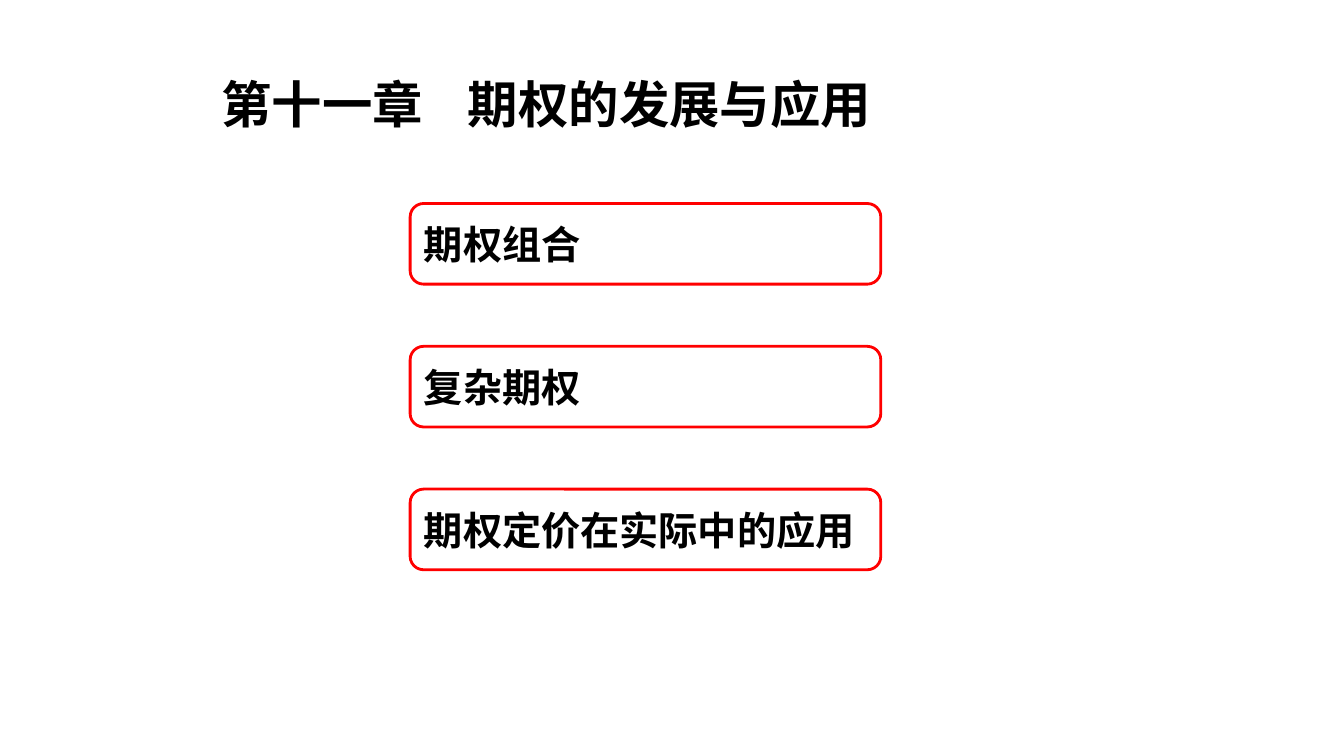
from pptx import Presentation
from pptx.dml.color import RGBColor
from pptx.enum.shapes import MSO_SHAPE as Preset
from pptx.enum.text import MSO_ANCHOR as Anchor, MSO_AUTO_SIZE as AutoSize, PP_ALIGN as Align
from pptx.oxml.ns import qn
from pptx.oxml.xmlchemy import OxmlElement
from pptx.util import Pt


def color(hex_string):
    return RGBColor.from_string(hex_string)


class ChapterSlide:
    """Style and current slide, with one method per kind of element."""

    INK = "000000"
    BORDER = "FF0000"
    TITLE_FONT = "Arial"
    CJK_FONT = "Noto Sans CJK SC"

    def __init__(self, slide):
        self.slide = slide

    def add_run(self, paragraph, text, size, font):
        run = paragraph.add_run()
        run.text = text
        run.font.name = font
        run.font.size = Pt(size)
        run.font.bold = True
        run.font.color.rgb = color(self.INK)
        east_asian = OxmlElement("a:ea")
        east_asian.set("typeface", self.CJK_FONT)
        run.font._element.find(qn("a:latin")).addnext(east_asian)

    def title(self, text, left, top, width, height, tab_at):
        frame = self.slide.shapes.add_textbox(
            Pt(left), Pt(top), Pt(width), Pt(height)).text_frame
        frame.word_wrap = True
        frame.auto_size = AutoSize.SHAPE_TO_FIT_TEXT
        heading = frame.paragraphs[0]
        # The tab stop sets the gap between chapter number and name
        tab_list = OxmlElement("a:tabLst")
        tab = OxmlElement("a:tab")
        tab.set("pos", str(Pt(tab_at)))
        tab.set("algn", "l")
        tab_list.append(tab)
        heading._p.get_or_add_pPr().append(tab_list)
        self.add_run(heading, text, 36, self.TITLE_FONT)

    def topic(self, text, left, top, width, height):
        box = self.slide.shapes.add_shape(
            Preset.FLOWCHART_ALTERNATE_PROCESS,
            Pt(left), Pt(top), Pt(width), Pt(height))
        box.shadow.inherit = False
        box.fill.background()
        box.line.color.rgb = color(self.BORDER)
        box.line.width = Pt(2)
        frame = box.text_frame
        frame.word_wrap = True
        frame.vertical_anchor = Anchor.MIDDLE
        label = frame.paragraphs[0]
        label.alignment = Align.LEFT
        self.add_run(label, text, 28, self.CJK_FONT)


def main():
    deck = Presentation()
    deck.slide_width, deck.slide_height = Pt(960), Pt(540)
    chapter = ChapterSlide(deck.slides.add_slide(deck.slide_layouts[6]))

    # Chapter title
    chapter.title("第十一章\t期权的发展与应用", 151.2, 49, 629.3, 50.4, tab_at=176)

    # Topics, evenly spaced from top to bottom
    first_top, step = 145.4, 102
    for row, topic in enumerate(["期权组合", "复杂期权", "期权定价在实际中的应用"]):
        chapter.topic(topic, 293, first_top + row * step, 336.2, 57.6)

    deck.save("out.pptx")


if __name__ == "__main__":
    main()
